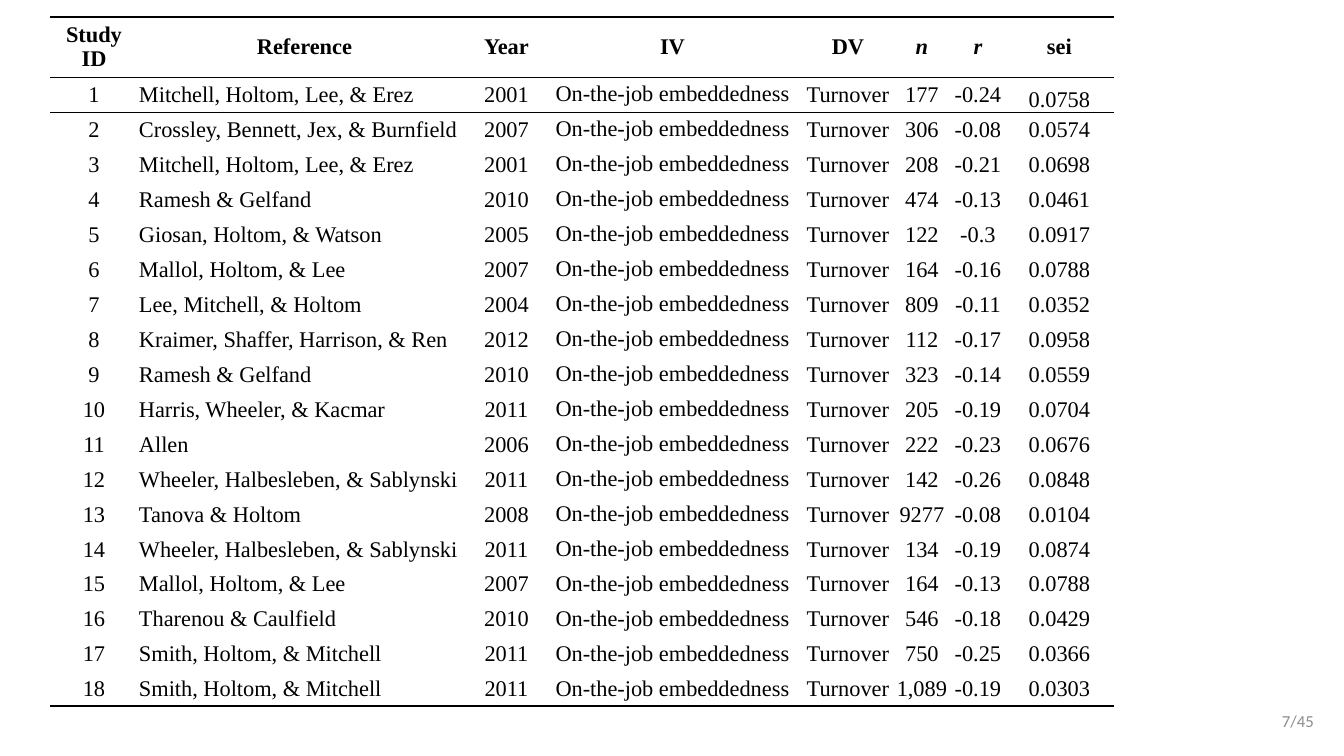
from lxml.etree import SubElement
from pptx import Presentation
from pptx.dml.color import RGBColor
from pptx.enum.text import MSO_ANCHOR as Anchor, PP_ALIGN as Align
from pptx.oxml.ns import qn
from pptx.util import Pt

EMU_PER_PX = 914400 / 100.8
COLORS = {"ink": "000000", "page_number": "8C8C8C"}
NO_STYLE = "{2D5ABB26-0587-4C30-8999-92F81FD0307C}"
HEADER_HEIGHT, ROW_HEIGHT = 60, 35
THICK, THIN = 1.5, 0.5
COLUMNS = {"Study\nID": 88, "Reference": 333, "Year": 71, "IV": 261,
           "DV": 90, "n": 58, "r": 54, "sei": 109}
STUDIES = [
    ("Mitchell, Holtom, Lee, & Erez", "2001", "177", "-0.24", "0.0758"),
    ("Crossley, Bennett, Jex, & Burnfield", "2007", "306", "-0.08", "0.0574"),
    ("Mitchell, Holtom, Lee, & Erez", "2001", "208", "-0.21", "0.0698"),
    ("Ramesh & Gelfand", "2010", "474", "-0.13", "0.0461"),
    ("Giosan, Holtom, & Watson", "2005", "122", "-0.3", "0.0917"),
    ("Mallol, Holtom, & Lee", "2007", "164", "-0.16", "0.0788"),
    ("Lee, Mitchell, & Holtom", "2004", "809", "-0.11", "0.0352"),
    ("Kraimer, Shaffer, Harrison, & Ren", "2012", "112", "-0.17", "0.0958"),
    ("Ramesh & Gelfand", "2010", "323", "-0.14", "0.0559"),
    ("Harris, Wheeler, & Kacmar", "2011", "205", "-0.19", "0.0704"),
    ("Allen", "2006", "222", "-0.23", "0.0676"),
    ("Wheeler, Halbesleben, & Sablynski", "2011", "142", "-0.26", "0.0848"),
    ("Tanova & Holtom", "2008", "9277", "-0.08", "0.0104"),
    ("Wheeler, Halbesleben, & Sablynski", "2011", "134", "-0.19", "0.0874"),
    ("Mallol, Holtom, & Lee", "2007", "164", "-0.13", "0.0788"),
    ("Tharenou & Caulfield", "2010", "546", "-0.18", "0.0429"),
    ("Smith, Holtom, & Mitchell", "2011", "750", "-0.25", "0.0366"),
    ("Smith, Holtom, & Mitchell", "2011", "1,089", "-0.19", "0.0303"),
]


def px(length):
    return round(length * EMU_PER_PX)


def write(frame, text, color, align=Align.CENTER, **font_format):
    """Fill a text frame, one paragraph per line, in a single format."""
    frame.text = text
    for para in frame.paragraphs:
        para.alignment = align
        for span in para.runs:
            span.font.color.rgb = RGBColor.from_string(COLORS[color])
            for name, value in font_format.items():
                setattr(span.font, name, value)


deck = Presentation()
deck.slide_width, deck.slide_height = px(1344), px(756)
page = deck.slides.add_slide(deck.slide_layouts[6])

headings = list(COLUMNS)
rows = [headings]
for number, (reference, year, n, r, sei) in enumerate(STUDIES, start=1):
    rows.append([str(number), reference, year, "On-the-job embeddedness",
                 "Turnover", n, r, sei])
last_row = len(rows) - 1

table = page.shapes.add_table(
    len(rows), len(headings), px(50), px(17), px(sum(COLUMNS.values())),
    px(HEADER_HEIGHT + ROW_HEIGHT * len(STUDIES))).table
table.horz_banding = False
table._tbl.tblPr.find(qn("a:tableStyleId")).text = NO_STYLE
for column, width in zip(table.columns, COLUMNS.values()):
    column.width = px(width)

for row_index, row in enumerate(rows):
    is_header = row_index == 0
    table.rows[row_index].height = px(HEADER_HEIGHT if is_header else ROW_HEIGHT)
    borders = {0: {"lnT": THICK, "lnB": THIN}, 1: {"lnT": THIN},
               last_row: {"lnB": THICK}}.get(row_index, {})
    for heading, text, cell in zip(headings, row, table.rows[row_index].cells):
        left_aligned = heading == "Reference" and not is_header
        write(cell.text_frame, text, "ink",
              Align.LEFT if left_aligned else Align.CENTER,
              name="Times New Roman", size=Pt(16), bold=is_header,
              italic=is_header and heading in ("n", "r"))

        roomy = is_header or heading == "IV"
        side, top, bottom = (7, 4, 4) if roomy else (1, 1, 0)
        at_bottom = row_index == 1 and heading == "sei"
        cell_format = {
            "margin_left": px(side), "margin_right": px(side),
            "margin_top": px(top), "margin_bottom": px(bottom),
            "vertical_anchor": Anchor.BOTTOM if at_bottom else Anchor.MIDDLE,
        }
        for name, value in cell_format.items():
            setattr(cell, name, value)

        cell_properties = cell._tc.get_or_add_tcPr()
        for edge, width in borders.items():
            line = SubElement(cell_properties, qn(f"a:{edge}"), w=str(Pt(width)))
            fill = SubElement(line, qn("a:solidFill"))
            SubElement(fill, qn("a:srgbClr"), val=COLORS["ink"])
        cell.fill.background()

number_box = page.shapes.add_textbox(px(1071), px(701), px(454), px(40))
number_box.text_frame.word_wrap = True
number_box.text_frame.vertical_anchor = Anchor.MIDDLE
write(number_box.text_frame, "7/45", "page_number", name="Calibri", size=Pt(12))

deck.save("out.pptx")
